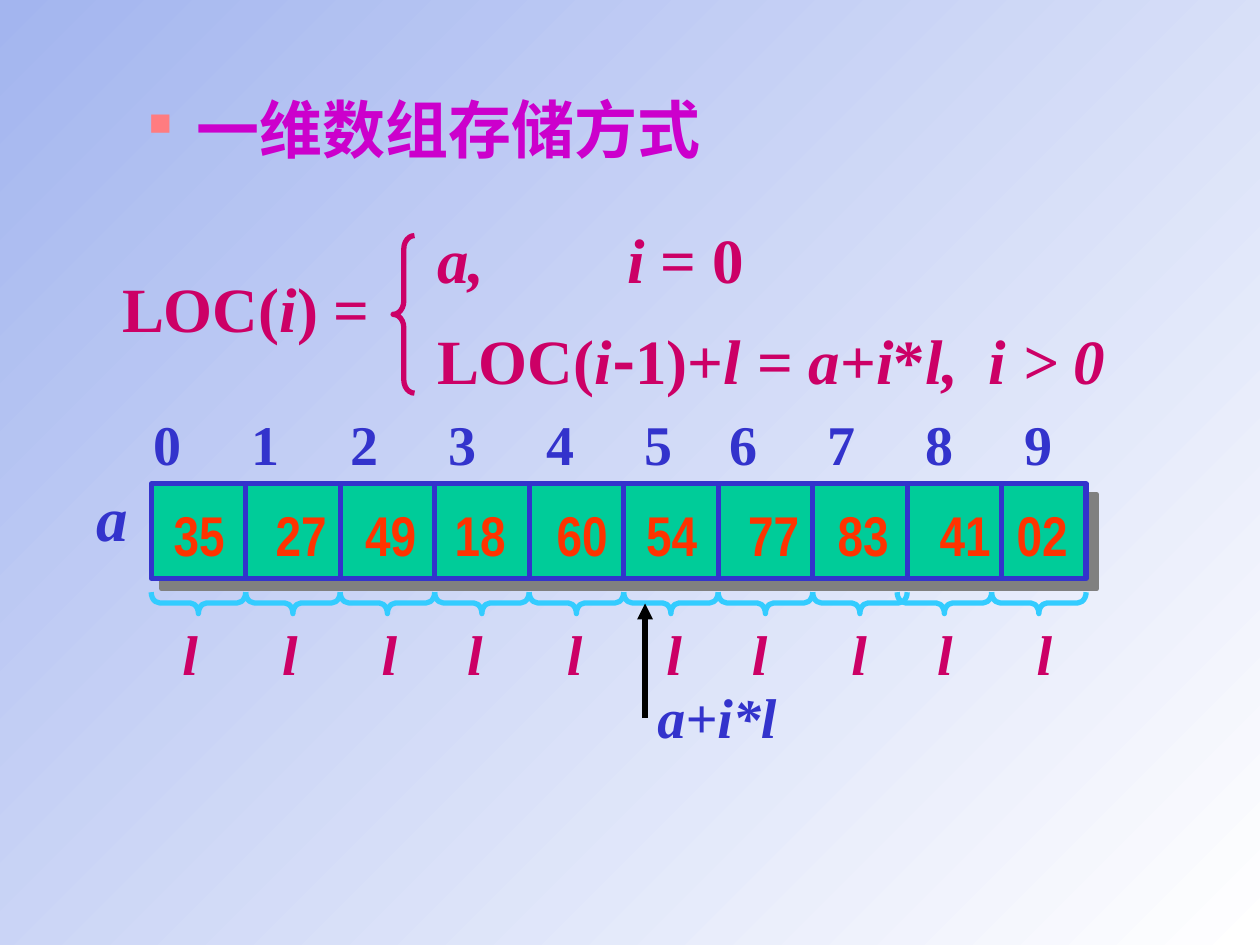
from itertools import accumulate

from lxml import etree
from pptx import Presentation
from pptx import util as u
from pptx.dml.color import RGBColor
from pptx.enum import shapes, text
from pptx.oxml import ns

COLORS = {
    "sky": "A3B5EF", "white": "FFFFFF", "title": "CC00CC", "bullet": "FF7C80",
    "cell": "00CC99", "blue": "3333CC", "value": "FF3300", "brace": "33CCFF",
    "formula": "CC0066", "shadow": "808080", "arrow": "000000",
}
SERIF = "Times New Roman"
VALUES = ["35", "27", "49", "18", "60", "54", "77", "83", "41", "02"]
CELL = 0.75


def rgb(name):
    """Return a named colour."""
    return RGBColor.from_string(COLORS[name])


def add_child(parent, tag, **attributes):
    """Append a DrawingML element and return it."""
    return etree.SubElement(parent, ns.qn(f"a:{tag}"), attributes)


def place(shape, box):
    """Move a shape to a box given in inches."""
    shape.left, shape.top, shape.width, shape.height = map(u.Inches, box)


def format_span(span, size, color, italic=False, font=SERIF):
    """Format one bold run."""
    span.font.size, span.font.name = u.Pt(size), font
    span.font.bold, span.font.italic = True, italic
    span.font.color.rgb = rgb(color)


def add_label(page, box, spans, size, color, stops=()):
    """Write a line of (text, italic, font) spans with tab stops in inches."""
    label = page.shapes.add_textbox(*map(u.Inches, box))
    frame = label.text_frame
    frame.word_wrap, frame.margin_right = True, 0
    para = frame.paragraphs[0]
    if stops:
        tabs = add_child(para._p.get_or_add_pPr(), "tabLst")
        for stop in stops:
            add_child(tabs, "tab", pos=str(u.Inches(stop)), algn="l")
    for words, italic, font in spans:
        span = para.add_run()
        span.text = words
        format_span(span, size, color, italic, font)


def add_line(page, start, end, color):
    """Draw a plain straight line."""
    line = page.shapes.add_connector(
        shapes.MSO_CONNECTOR.STRAIGHT, *map(u.Inches, (*start, *end)))
    line.line.color.rgb, line.line.width = rgb(color), u.Pt(3)
    add_child(line._element.spPr, "effectLst")
    return line


def add_brace(page, box, color, curve, rotation=0):
    """Draw an unfilled brace."""
    brace = page.shapes.add_shape(
        shapes.MSO_SHAPE.LEFT_BRACE, *map(u.Inches, box))
    brace.adjustments[0], brace.rotation = curve, rotation
    brace.shadow.inherit = False
    brace.fill.background()
    brace.line.color.rgb, brace.line.width = rgb(color), u.Pt(3)


def set_background(page):
    """Fill the page with a diagonal gradient."""
    fill = page.background.fill
    fill.gradient()
    fill.gradient_angle = 315
    for stop, name in zip(fill.gradient_stops, ("sky", "white")):
        stop.color.rgb = rgb(name)


def add_title(page, box):
    """Write the bulleted title."""
    title = page.shapes.title
    place(title, box)
    frame = title.text_frame
    frame.text = "一维数组存储方式"
    frame.auto_size = text.MSO_AUTO_SIZE.NONE
    frame.vertical_anchor = text.MSO_ANCHOR.TOP
    para = frame.paragraphs[0]
    para.alignment = text.PP_ALIGN.LEFT
    layout = para._p.get_or_add_pPr()
    layout.set("marL", str(u.Inches(0.38)))
    layout.set("indent", str(u.Inches(-0.38)))
    add_child(add_child(layout, "buClr"), "srgbClr", val=COLORS["bullet"])
    add_child(layout, "buSzPct", val="50000")
    add_child(layout, "buChar", char="■")
    format_span(para.runs[0], 36, "title")


def add_formula(page, box):
    """Write the two-case address formula."""
    left, top, width, height = box
    cases = left + 2.5
    add_label(page, (left, top + 0.39, 2.25, 0.7),
              [("LOC(", False, SERIF), ("i", True, SERIF),
               (") =", False, SERIF)], 36, "formula")
    add_brace(page, (left + 2.25, top + 0.17, 0.17, 1.25), "formula", 0.62)
    add_label(page, (cases, top, 3.25, 0.7),
              [("a,\ti ", True, SERIF), ("= 0", False, SERIF)],
              36, "formula", [1.51])
    add_label(page, (cases, top + height - 0.7, width - 2.5, 0.7),
              [("LOC(", False, SERIF), ("i", True, SERIF),
               ("-", False, "Noto Sans CJK SC"), ("1)+", False, SERIF),
               ("l", True, SERIF), (" = ", False, SERIF), ("a", True, SERIF),
               ("+", False, SERIF), ("i", True, SERIF), ("*", False, SERIF),
               ("l,\ti > 0", True, SERIF)], 36, "formula", [4.38])


def add_row(page, box, words, pitches, color, italic=False, font=SERIF):
    """Write one row of words, spaced by pitches in inches."""
    add_label(page, box, [("\t".join(words), italic, font)], 32, color,
              list(accumulate(pitches)))


def add_array(page, box):
    """Draw the array cells with their indexes, values and lengths."""
    left, top, width, height = box
    count = len(VALUES)
    frame = page.shapes.add_shape(
        shapes.MSO_SHAPE.RECTANGLE, *map(u.Inches, box))
    frame.fill.solid()
    frame.fill.fore_color.rgb = rgb("cell")
    frame.line.color.rgb, frame.line.width = rgb("blue"), u.Pt(3)
    frame.shadow.inherit = False
    effects = frame._element.spPr.find(ns.qn("a:effectLst"))
    shadow = add_child(effects, "outerShdw", blurRad="0", dist=str(u.Pt(8.5)),
                       dir="2700000", algn="ctr", rotWithShape="0")
    add_child(shadow, "srgbClr", val=COLORS["shadow"])

    wide, narrow = 0.81, 0.71
    add_row(page, (left + 0.08, top + 0.08, 7.5, 0.64), VALUES,
            [wide, narrow, narrow, wide, narrow, wide, narrow, wide, 0.61],
            "value", font="Arial Narrow")
    for index in range(1, count):
        x = left + index * CELL
        add_line(page, (x, top), (x, top + height), "blue")
    add_row(page, (left - 0.08, top - 0.64, 7.5, 0.64),
            [str(index) for index in range(count)],
            [0.78] * 5 + [0.67] + [0.78] * 3, "blue")

    shift = count * CELL - width
    for index in range(count):
        x = left + index * CELL - (shift if index >= 8 else 0)
        add_brace(page, (x + 0.29, top + 0.57, 0.17, CELL), "brace", 0.39, 270)
    wide, narrow = 0.79, 0.68
    add_row(page, (left + 0.15, top + 1.03, 7.5, 0.64), ["l"] * count,
            [wide, wide, narrow, wide, wide, narrow, wide, narrow, wide],
            "formula", italic=True)
    add_label(page, (left - 0.53, top - 0.09, 0.45, 0.7),
              [("a", True, SERIF)], 36, "blue")


def add_pointer(page, box):
    """Draw the upward arrow and its address label."""
    left, top, width, height = box
    arrow = add_line(page, (left, top + 0.91), (left, top), "arrow")
    add_child(arrow.line._get_or_add_ln(), "tailEnd", type="triangle")
    add_label(page, (left, top + height - 0.64, width, 0.64),
              [("a+i*l", True, SERIF)], 32, "blue")


def main():
    """Build and save the deck."""
    deck = Presentation()
    deck.slide_width, deck.slide_height = u.Inches(10), u.Inches(7.5)
    page = deck.slides.add_slide(deck.slide_layouts[5])
    set_background(page)
    add_title(page, (1.08, 0.67, 7.5, 0.75))
    add_array(page, (1.2, 3.84, 7.42, 0.75))
    add_formula(page, (0.87, 1.7, 8.25, 1.5))
    add_pointer(page, (5.12, 4.79, 1.14, 1.22))
    deck.save("out.pptx")


if __name__ == "__main__":
    main()
